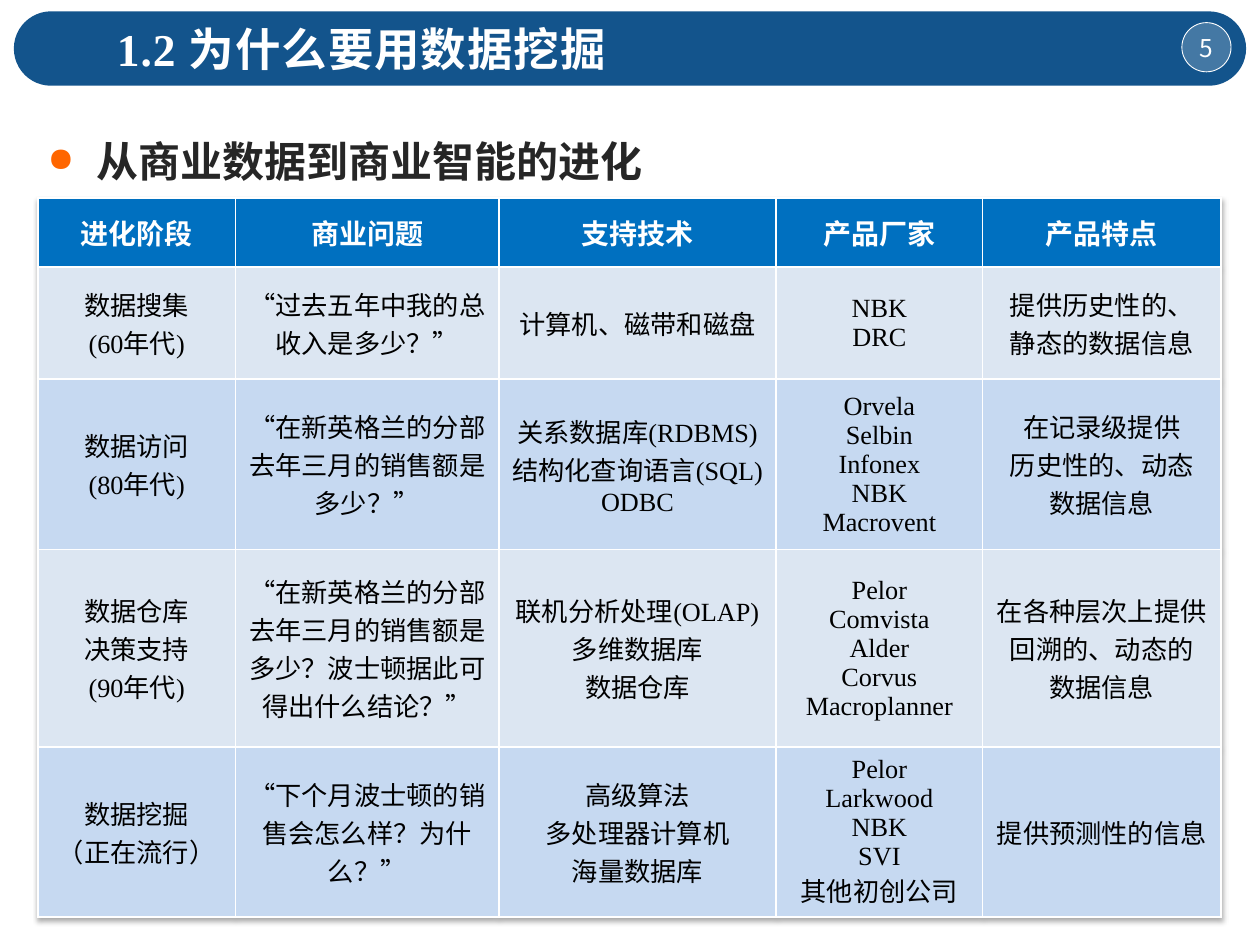
"""Build the slide on the evolution from business data to business intelligence."""
from lxml.etree import SubElement, fromstring
from pptx import Presentation
from pptx.dml.color import RGBColor
from pptx.enum.shapes import MSO_SHAPE as Shape
from pptx.enum.text import MSO_ANCHOR as Anchor, PP_ALIGN as Align
from pptx.oxml.ns import nsdecls, qn
from pptx.util import Inches, Pt

WHITE = RGBColor(0xFF, 0xFF, 0xFF)
BLACK = RGBColor(0, 0, 0)
INK = RGBColor(0x26, 0x26, 0x26)
BANNER = RGBColor(0x13, 0x54, 0x8C)
HEADER = RGBColor(0x00, 0x70, 0xC0)
BANDS = [RGBColor(0xC6, 0xD9, 0xF1), RGBColor(0xDC, 0xE6, 0xF2)]
LATIN, CHINESE = "Times New Roman", "Noto Sans CJK SC"

TITLE = {"name": LATIN, "size": Pt(26), "bold": True}
TOPIC = {"name": LATIN, "size": Pt(24), "bold": True}
NUMBER = {"name": CHINESE, "size": Pt(14), "bold": False}
HEADING = {"name": LATIN, "size": Pt(16), "bold": True}
ENTRY = {"name": LATIN, "size": Pt(15), "bold": False}


def write(paragraph, text, style, color, align):
    paragraph.text = text
    paragraph.alignment = align
    for run in paragraph.runs:
        for attribute, value in style.items():
            setattr(run.font, attribute, value)
        run.font.color.rgb = color
        SubElement(run.font._element, qn("a:ea"), typeface=CHINESE)


def add_border(cell, position, side, points):
    cell._tc.get_or_add_tcPr().insert(position, fromstring(
        f'<a:ln{side} {nsdecls("a")} w="{Pt(points)}"><a:solidFill>'
        f'<a:srgbClr val="{WHITE}"/></a:solidFill></a:ln{side}>'))


prs = Presentation()
prs.slide_width, prs.slide_height = Inches(10), Inches(7.5)
slide = prs.slides.add_slide(prs.slide_layouts[6])

banner = slide.shapes.add_shape(
    Shape.ROUNDED_RECTANGLE, Inches(0.11), Inches(0.09), Inches(9.78), Inches(0.59))
banner.adjustments[0] = 0.5
banner.fill.solid()
banner.fill.fore_color.rgb = BANNER
banner.line.fill.background()
banner.shadow.inherit = False

badge = slide.shapes.add_shape(
    Shape.OVAL, Inches(9.38), Inches(0.18), Inches(0.39), Inches(0.39))
badge.fill.solid()
badge.fill.fore_color.rgb = WHITE
tint = badge._element.spPr.find(qn("a:solidFill")).find(qn("a:srgbClr"))
SubElement(tint, qn("a:alpha"), val="21000")
badge.line.color.rgb = WHITE
badge.line.width = Pt(0.5)
badge.shadow.inherit = False
badge_frame = badge.text_frame
badge_format = {"margin_left": 0, "margin_right": 0, "margin_top": 0, "margin_bottom": 0,
                "word_wrap": False, "vertical_anchor": Anchor.MIDDLE}
for attribute, value in badge_format.items():
    setattr(badge_frame, attribute, value)
write(badge_frame.paragraphs[0], "5", NUMBER, WHITE, Align.CENTER)

title = slide.shapes.add_textbox(
    Inches(0.83), Inches(0.12), Inches(4.29), Inches(0.54)).text_frame
title.word_wrap = True
write(title.paragraphs[0], "1.2 为什么要用数据挖掘", TITLE, WHITE, Align.LEFT)
title.paragraphs[0].runs[0].font._element.set("spc", "50")

topic = slide.shapes.add_textbox(
    Inches(0.28), Inches(0.83), Inches(9), Inches(0.64)).text_frame
topic.word_wrap = True
topic_line = topic.paragraphs[0]
topic_line.line_spacing = 1.5
bullet = topic_line._p.get_or_add_pPr()
bullet.set("marL", str(Inches(0.39)))
bullet.set("indent", str(-Inches(0.39)))
SubElement(SubElement(bullet, qn("a:buClr")), qn("a:srgbClr"), val="FF6600")
SubElement(bullet, qn("a:buSzPct"), val="80000")
SubElement(bullet, qn("a:buChar"), char="●")
write(topic_line, "从商业数据到商业智能的进化", TOPIC, INK, Align.JUSTIFY)

column_widths = [1.57, 2.09, 2.2, 1.64, 1.89]
row_heights = [0.55, 0.89, 1.27, 1.57, 1.27]
stages = [
    ["进化阶段", "商业问题", "支持技术", "产品厂家", "产品特点"],
    ["数据搜集\v(60年代)", "“过去五年中我的总收入是多少？”", "计算机、磁带和磁盘",
     "NBK\nDRC", "提供历史性的、\n静态的数据信息"],
    ["数据访问\v(80年代)", "“在新英格兰的分部去年三月的销售额是多少？”",
     "关系数据库(RDBMS)\n结构化查询语言(SQL)\nODBC",
     "Orvela\nSelbin\nInfonex\nNBK\nMacrovent", "在记录级提供\n历史性的、动态\n数据信息"],
    ["数据仓库\n决策支持\v(90年代)",
     "“在新英格兰的分部去年三月的销售额是多少？波士顿据此可得出什么结论？”",
     "联机分析处理(OLAP)\n多维数据库\n数据仓库",
     "Pelor\nComvista\nAlder\nCorvus\nMacroplanner", "在各种层次上提供回溯的、动态的\n数据信息"],
    ["数据挖掘\v（正在流行）", "“下个月波士顿的销售会怎么样？为什么？”",
     "高级算法\n多处理器计算机\n海量数据库",
     "Pelor\nLarkwood\nNBK\nSVI\n其他初创公司", "提供预测性的信息"],
]
last_row, last_column = len(row_heights) - 1, len(column_widths) - 1
evolution = slide.shapes.add_table(
    len(row_heights), len(column_widths),
    Inches(0.3), Inches(1.57), Inches(9.39), Inches(5.7)).table
evolution._tbl.tblPr.insert(0, fromstring(
    f'<a:effectLst {nsdecls("a")}><a:outerShdw blurRad="40000" dist="23000" dir="5400000" '
    'rotWithShape="0"><a:srgbClr val="000000"><a:alpha val="35000"/></a:srgbClr>'
    '</a:outerShdw></a:effectLst>'))
for column, width in zip(evolution.columns, column_widths):
    column.width = Inches(width)
for row, height in zip(evolution.rows, row_heights):
    row.height = Inches(height)

for r, stage in enumerate(stages):
    style, color, fill = (ENTRY, BLACK, BANDS[r % 2]) if r else (HEADING, WHITE, HEADER)
    for c, content in enumerate(stage):
        cell = evolution.cell(r, c)
        cell.vertical_anchor = Anchor.MIDDLE
        cell.fill.solid()
        cell.fill.fore_color.rgb = fill
        outer_sides = {"L": c == 0, "R": c == last_column, "T": r == 0, "B": r == last_row}
        for position, (side, is_outer) in enumerate(outer_sides.items()):
            add_border(cell, position, side, 1.5 if is_outer else 1)
        for i, line in enumerate(content.split("\n")):
            frame = cell.text_frame
            paragraph = frame.add_paragraph() if i else frame.paragraphs[0]
            write(paragraph, line, style, color, Align.CENTER)

prs.save("out.pptx")
